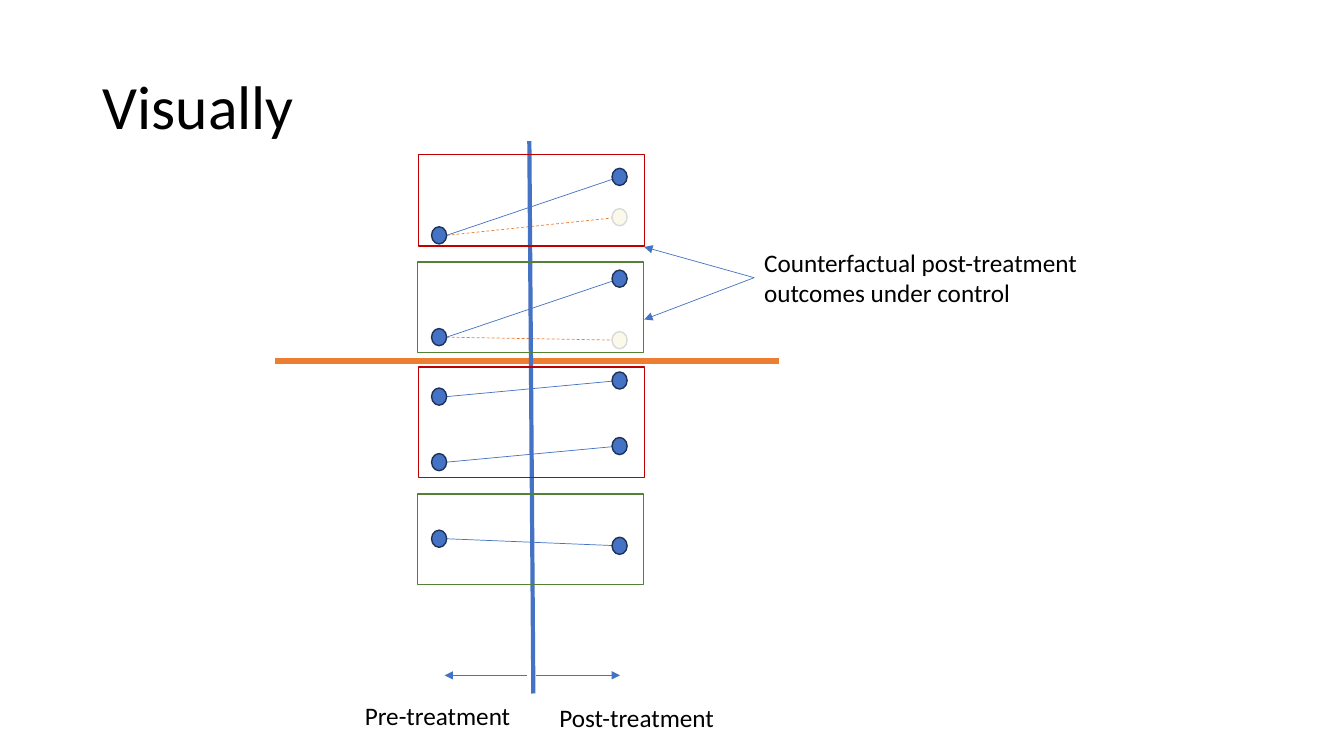
from dataclasses import dataclass
from lxml.etree import SubElement
from pptx import Presentation
from pptx.dml.color import RGBColor
from pptx.enum.dml import MSO_LINE
from pptx.enum.shapes import MSO_CONNECTOR, MSO_SHAPE
from pptx.enum.text import MSO_ANCHOR
from pptx.oxml.ns import qn
from pptx.util import Inches, Pt


@dataclass(frozen=True)
class Theme:
    """Colours, font and type sizes of the slide."""
    font: str = "Calibri"
    title: int = 44
    label: int = 18
    ink: str = "000000"
    blue: str = "4472C4"
    navy: str = "1E3256"
    orange: str = "ED7D31"
    cream: str = "FAF9EA"
    grey: str = "D9D9D9"
    red: str = "C00000"
    green: str = "548235"
    thin: float = 0.5


LOOK = Theme()
DOT_W, DOT_H = 0.15, 0.17
POST = 1.79


def add_text(slide, box, text, size, wrap=True, anchor=MSO_ANCHOR.TOP, space=1.0):
    """Place one paragraph of text in the box."""
    frame = slide.shapes.add_textbox(*map(Inches, box)).text_frame
    frame.word_wrap = wrap
    frame.vertical_anchor = anchor
    frame.text = text
    line = frame.paragraphs[0]
    line.line_spacing = space
    font = line.runs[0].font
    font.name, font.size = LOOK.font, Pt(size)
    font.color.rgb = RGBColor.from_string(LOOK.ink)


def add_line(slide, start, end, color, width=LOOK.thin, dash=False, arrow=False):
    """Draw a straight line between two points."""
    line = slide.shapes.add_connector(
        MSO_CONNECTOR.STRAIGHT, *map(Inches, (*start, *end)))
    line.line.color.rgb = RGBColor.from_string(color)
    line.line.width = Pt(width)
    if dash:
        line.line.dash_style = MSO_LINE.DASH
    props = line._element.spPr
    if arrow:
        SubElement(props.find(qn("a:ln")), qn("a:tailEnd"), type="triangle")
    SubElement(props, qn("a:effectLst"))


def add_form(slide, kind, box, edge, fill=None):
    """Draw an outlined shape, filled when a fill is given."""
    shape = slide.shapes.add_shape(kind, *map(Inches, box))
    shape.shadow.inherit = False
    if fill:
        shape.fill.solid()
        shape.fill.fore_color.rgb = RGBColor.from_string(fill)
    else:
        shape.fill.background()
    shape.line.color.rgb = RGBColor.from_string(edge)
    shape.line.width = Pt(1)


def add_dot(slide, left, top, ghost=False):
    """Draw an outcome dot, pale when it is counterfactual."""
    fill, edge = (LOOK.cream, LOOK.grey) if ghost else (LOOK.blue, LOOK.navy)
    add_form(slide, MSO_SHAPE.OVAL, (left, top, DOT_W, DOT_H), edge, fill)


def add_trends(slide, left, top, trends):
    """Join pre and post dots, given as drops from the top."""
    for pre, post, ghost in trends:
        start = (left + DOT_W, top + pre + DOT_H / 2)
        end = (left + POST + DOT_W / 2, top + post + DOT_H / 2)
        add_line(slide, start, end, LOOK.orange if ghost else LOOK.blue, dash=ghost)
        add_dot(slide, left + POST, top + post, ghost)
    for pre in sorted({trend[0] for trend in trends}):
        add_dot(slide, left, top + pre)


def add_axes(slide, box):
    """Draw the treatment divide, the time divide and the period labels."""
    left, top, width, height = box
    add_line(slide, (left, top + 2.18), (left + width, top + 2.18), LOOK.orange, 4.5)
    add_line(slide, (left + 2.52, top), (left + 2.56, top + height), LOOK.blue, 3)
    level = top + 5.3
    for start, end in ((2.5, 1.68), (2.59, 3.42)):
        add_line(slide, (left + start, level), (left + end, level), LOOK.blue, arrow=True)
    for text, shift, drop, span in (("Pre-treatment", 0.79, 5.5, 1.66),
                                    ("Post-treatment", 2.72, 5.52, 1.76)):
        add_text(slide, (left + shift, top + drop, span, 0.4), text, LOOK.label, False)


def add_note(slide, box, targets):
    """Write the note and point from its left edge to the targets."""
    add_text(slide, box, "Counterfactual post-treatment outcomes under control", LOOK.label)
    left, top, _, height = box
    for target in targets:
        add_line(slide, (left, top + height / 2), target, LOOK.blue, arrow=True)


def main():
    """Build the slide and save it."""
    deck = Presentation()
    deck.slide_width, deck.slide_height = Inches(13.33), Inches(7.5)
    slide = deck.slides.add_slide(deck.slide_layouts[6])
    panels = (
        ((4.15, 1.53, 2.24, 0.91), LOOK.red, ((0.72, 0.14, False), (0.72, 0.54, True))),
        ((4.14, 2.6, 2.24, 0.9), LOOK.green, ((0.66, 0.08, False), (0.66, 0.69, True))),
        ((4.15, 3.64, 2.24, 1.1), LOOK.red, ((0.21, 0.05, False), (0.86, 0.7, False))),
        ((4.14, 4.9, 2.24, 0.9), LOOK.green, ((0.36, 0.43, False),)),
    )
    add_text(slide, (0.92, 0.36, 11.5, 1.45), "Visually", LOOK.title,
             anchor=MSO_ANCHOR.MIDDLE, space=0.9)
    for box, _, trends in panels:
        add_trends(slide, 4.28, box[1], trends)
    add_axes(slide, (2.73, 1.4, 5, 5.48))
    add_note(slide, (7.48, 2.4, 3.52, 0.71), ((6.39, 2.45), (6.39, 3.17)))
    for box, edge, _ in panels:
        add_form(slide, MSO_SHAPE.RECTANGLE, box, edge)
    deck.save("out.pptx")


if __name__ == "__main__":
    main()
